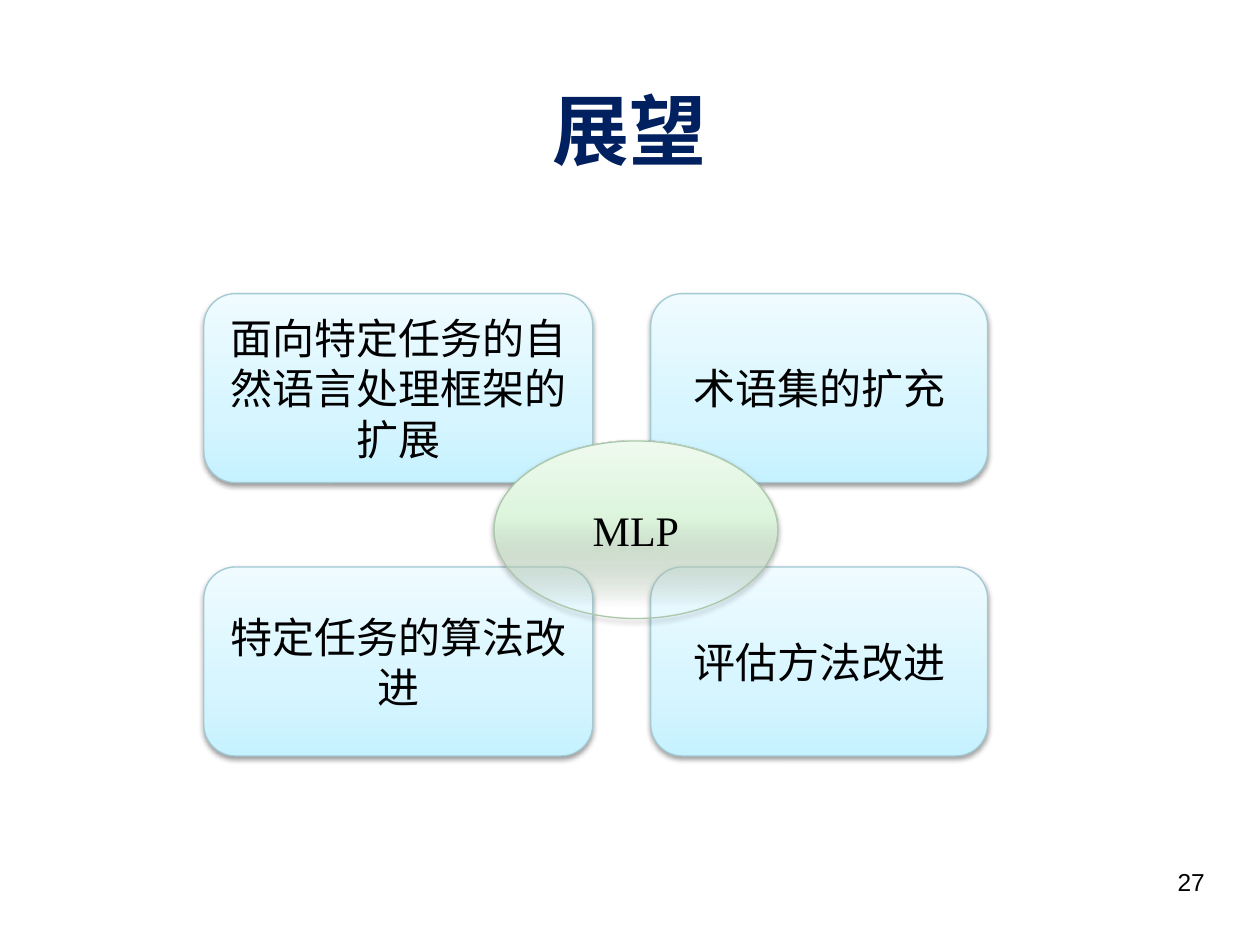
"""Build the outlook slide: four improvement areas around a central MLP ellipse."""
from lxml import etree
from pptx import Presentation
from pptx import util as u
from pptx.dml.color import RGBColor
from pptx.enum import shapes, text
from pptx.oxml import ns


def colour(parent, value, alpha=None):
    """Append a colour, with optional opacity in percent, to an XML parent."""
    node = etree.SubElement(parent, ns.qn("a:srgbClr"), val=value)
    if alpha is not None:
        etree.SubElement(node, ns.qn("a:alpha"), val=str(alpha * 1000))


def write(frame, words, size, font, value, align):
    """Write one formatted run into the first paragraph of a frame."""
    frame.word_wrap = True
    line = frame.paragraphs[0]
    line.alignment = align
    run = line.add_run()
    run.text = words
    run.font.size = u.Pt(size)
    run.font.name = font
    run.font.color.rgb = RGBColor.from_string(value)
    etree.SubElement(run._r.get_or_add_rPr(), ns.qn("a:ea"), typeface="Noto Sans CJK SC")
    return run


deck = Presentation()
deck.slide_width, deck.slide_height = u.Cm(25.4), u.Cm(19.05)
slide = deck.slides.add_slide(deck.slide_layouts[5])

heading = slide.shapes.title
heading.left, heading.top = u.Cm(0.84), u.Cm(1.65)
heading.width, heading.height = u.Cm(23.72), u.Cm(1.88)
heading.text_frame.vertical_anchor = text.MSO_ANCHOR.MIDDLE
write(heading.text_frame, "展望", 44, "Noto Sans CJK SC", "002060",
      text.PP_ALIGN.CENTER).font.bold = True

page_number = slide.shapes.add_textbox(u.Cm(18.19), u.Cm(17.35), u.Cm(6.35), u.Cm(1.32))
write(page_number.text_frame, "27", 14, "Arial", "000000", text.PP_ALIGN.RIGHT)

columns = [(4.11, 7.84), (13.12, 6.79)]
rows = [5.92, 11.43]
areas = [["面向特定任务的自然语言处理框架的扩展", "术语集的扩充"],
         ["特定任务的算法改进", "评估方法改进"]]
blue = [(0, "C6F2FF", 100), (35, "D6F5FF", 100), (100, "EFFBFF", 100)]
green = [(8, "D7F4D7", 0), (56, "DEF6DE", 100), (100, "F1FCF1", 100)]

parts = [(shapes.MSO_SHAPE.ROUNDED_RECTANGLE, (left, top, width, 3.81), words,
          "Arial", blue, "A3C9D3")
         for top, labels in zip(rows, areas)
         for (left, width), words in zip(columns, labels)]
parts.append((shapes.MSO_SHAPE.OVAL, (9.96, 8.89, 5.72, 3.58), "MLP",
              "Times New Roman", green, "ABC8AB"))

for kind, place, words, font, stops, edge in parts:
    part = slide.shapes.add_shape(kind, *(u.Cm(length) for length in place))
    part.fill.gradient()
    part.fill.gradient_angle = 90
    part.line.color.rgb = RGBColor.from_string(edge)
    part.line.width = u.Pt(0.75)
    part.shadow.inherit = False

    properties = part._element.spPr
    ramp = properties.find(".//" + ns.qn("a:gsLst"))
    for stop in list(ramp):
        ramp.remove(stop)
    for position, value, alpha in stops:
        stop = etree.SubElement(ramp, ns.qn("a:gs"), pos=str(position * 1000))
        colour(stop, value, alpha)
    shadow = etree.SubElement(properties.find(ns.qn("a:effectLst")), ns.qn("a:outerShdw"),
                              blurRad="40000", dist="20000", dir="5400000", rotWithShape="0")
    colour(shadow, "000000", 38)

    part.text_frame.vertical_anchor = text.MSO_ANCHOR.MIDDLE
    write(part.text_frame, words, 24, font, "000000", text.PP_ALIGN.CENTER)

deck.save("out.pptx")
